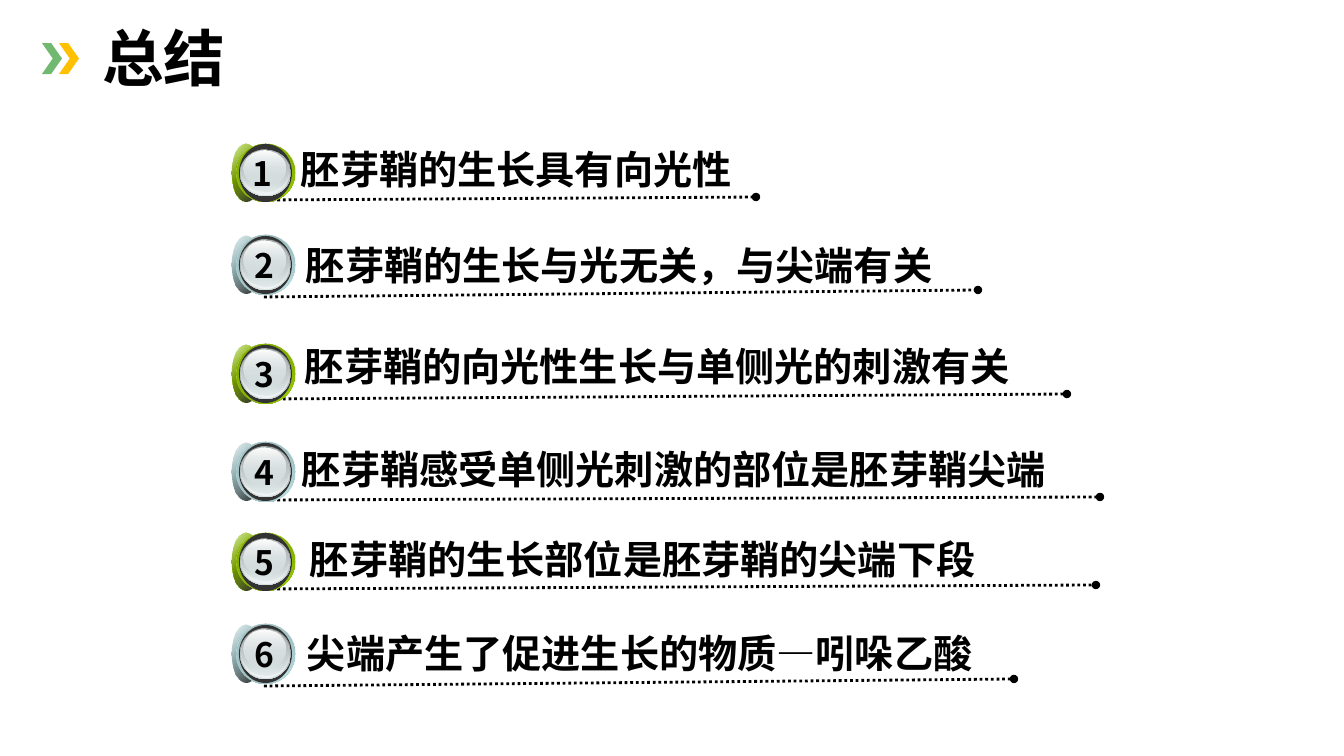
from pptx import Presentation, util as u
from pptx.dml.color import RGBColor
from pptx.enum import dml, shapes, text
from pptx.oxml import parse_xml
from pptx.oxml.ns import nsdecls, qn

# Content, with lengths in px
FONT = "Noto Sans CJK SC"
TITLE = "总结"
CHEVRONS = [(42, "71B871"), (59, "FFC000")]
# statement, text (left, top, width), badge top, badge build, underline start and end
STATEMENTS = [
    ("胚芽鞘的生长具有向光性", (291, 140, 623), 144, "flat", (266, 200), (756, 197)),
    ("胚芽鞘的生长与光无关，与尖端有关", (296, 236, 733), 236, "tall", (264, 297), (978, 290)),
    ("胚芽鞘的向光性生长与单侧光的刺激有关", (295, 337, 873), 345, "tall", (266, 399), (1067, 394)),
    ("胚芽鞘感受单侧光刺激的部位是胚芽鞘尖端", (292, 440, 873), 443, "tall", (266, 500), (1100, 497)),
    ("胚芽鞘的生长部位是胚芽鞘的尖端下段", (300, 530, 802), 533, "flat", (266, 589), (1096, 585)),
    ("尖端产生了促进生长的物质—吲哚乙酸", (297, 624, 800), 625, "tall", (264, 686), (1014, 679)),
]
# Base, dark rim and soft rim colours: odd badges, then even badges
PALETTES = [("99CC00", "759C00", "7EA700"), ("BBE0E3", "8FACAE", "9AB8BA")]
# Rim and four lens layers: offset below the badge top, height
BUILDS = {
    "flat": [(0, 58), (6, 46), (6, 45), (6, 42), (7, 34)],
    "tall": [(-1, 60), (3, 51), (3, 50), (4, 47), (5, 38)],
}
# Lens layers: left, width, stops (position, colour, opacity)
LENSES = [
    (240, 51, [(0, "636869", 100), (100, "D6E1E2", 100)]),
    (240, 49, [(0, "D6E1E2", 0), (100, "F1F5F5", 100)]),
    (242, 47, [(0, "AAB2B3", 100), (100, "D6E1E2", 48)]),
    (244, 42, [(0, "FFFFFF", 100), (100, "D6E1E2", 38)]),
]


def px(length):
    return u.Emu(round(length * 914400 / 100.8))


def color(value):
    return RGBColor.from_string(value)


def add_solid(parent, kind, left, top, width, height, fill):
    shape = parent.add_shape(kind, px(left), px(top), px(width), px(height))
    shape.shadow.inherit = False
    shape.line.fill.background()
    shape.fill.solid()
    shape.fill.fore_color.rgb = color(fill)
    return shape


def add_glossy(parent, left, top, width, height, stops, angle):
    shape = add_solid(parent, shapes.MSO_SHAPE.OVAL, left, top, width, height, "FFFFFF")
    stop_xml = "".join(
        f'<a:gs pos="{position * 1000}"><a:srgbClr val="{value}">'
        f'<a:alpha val="{opacity * 1000}"/></a:srgbClr></a:gs>'
        for position, value, opacity in stops)
    gradient = parse_xml(
        f'<a:gradFill {nsdecls("a")} rotWithShape="1"><a:gsLst>{stop_xml}</a:gsLst>'
        f'<a:lin ang="{angle * 60000}" scaled="0"/></a:gradFill>')
    properties = shape._element.spPr
    properties.replace(properties.find(qn("a:solidFill")), gradient)


def write(shape, words, size, align, wrap):
    frame = shape.text_frame
    frame.word_wrap = wrap
    frame.auto_size = text.MSO_AUTO_SIZE.NONE
    frame.vertical_anchor = text.MSO_ANCHOR.MIDDLE
    frame.margin_top = frame.margin_bottom = 0
    paragraph = frame.paragraphs[0]
    paragraph.alignment = align
    paragraph.space_before = u.Pt(0)
    paragraph.line_spacing = 1.0
    run = paragraph.add_run()
    run.text = words
    run.font.size = u.Pt(size)
    run.font.bold = True
    run.font.name = FONT
    run.font.color.rgb = color("000000")
    east_asian = parse_xml(f'<a:ea {nsdecls("a")} typeface="{FONT}"/>')
    run.font._element.find(qn("a:latin")).addnext(east_asian)


def add_underline(slide, start, end):
    line = slide.shapes.add_connector(
        shapes.MSO_CONNECTOR.STRAIGHT, *(px(value) for value in start + end))
    line.line.width = u.Pt(2)
    line.line.color.rgb = color("000000")
    line.line.dash_style = dml.MSO_LINE.ROUND_DOT
    line.line._ln.append(parse_xml(f'<a:tailEnd {nsdecls("a")} type="oval"/>'))
    line._element.spPr.append(parse_xml(f'<a:effectLst {nsdecls("a")}/>'))


def add_badge(slide, number, top, build):
    parent = slide.shapes.add_group_shape().shapes
    base, dark, soft = PALETTES[(number - 1) % 2]
    (rim_offset, rim_height), *lens_rows = BUILDS[build]
    # Side of the disc
    side = (232, top, 28, 58)
    add_glossy(parent, *side, [(0, "FFFFFF", 100), (50, base, 100), (100, "FFFFFF", 100)], 45)
    add_glossy(parent, *side, [(0, base, 32), (100, "000000", 90)], 45)
    # Rim and dark ring
    rim = (236, top + rim_offset, 59, rim_height)
    add_glossy(parent, *rim, [(0, dark, 100), (50, base, 100), (100, dark, 100)], 315)
    add_glossy(parent, *rim, [(0, soft, 100), (100, base, 0)], 45)
    add_solid(parent, shapes.MSO_SHAPE.OVAL, 239, top, 53, 58, "333333")
    # Lens and number
    for (left, width, stops), (offset, height) in zip(LENSES, lens_rows):
        add_glossy(parent, left, top + offset, width, height, stops, 90)
    label = parent.add_textbox(px(244 if number == 1 else 246), px(top + 4), px(37), px(50))
    write(label, str(number), 24, text.PP_ALIGN.CENTER, False)


def main():
    presentation = Presentation()
    presentation.slide_width, presentation.slide_height = px(1344), px(756)
    slide = presentation.slides.add_slide(presentation.slide_layouts[5])

    # Title with its chevrons
    title = slide.shapes.title
    title.left, title.top, title.width, title.height = px(45), px(12), px(238), px(90)
    write(title, TITLE, 44, text.PP_ALIGN.CENTER, True)
    for left, fill in CHEVRONS:
        chevron = add_solid(slide.shapes, shapes.MSO_SHAPE.CHEVRON, left, 43, 20, 31, fill)
        chevron.adjustments[0] = 0.54

    # Numbered statements
    for number, (words, place, top, build, start, end) in enumerate(STATEMENTS, 1):
        add_underline(slide, start, end)
        add_badge(slide, number, top, build)
        left, text_top, width = place
        box = slide.shapes.add_textbox(px(left), px(text_top), px(width), px(57))
        write(box, words, 28, text.PP_ALIGN.LEFT, True)

    presentation.save("out.pptx")


if __name__ == "__main__":
    main()
